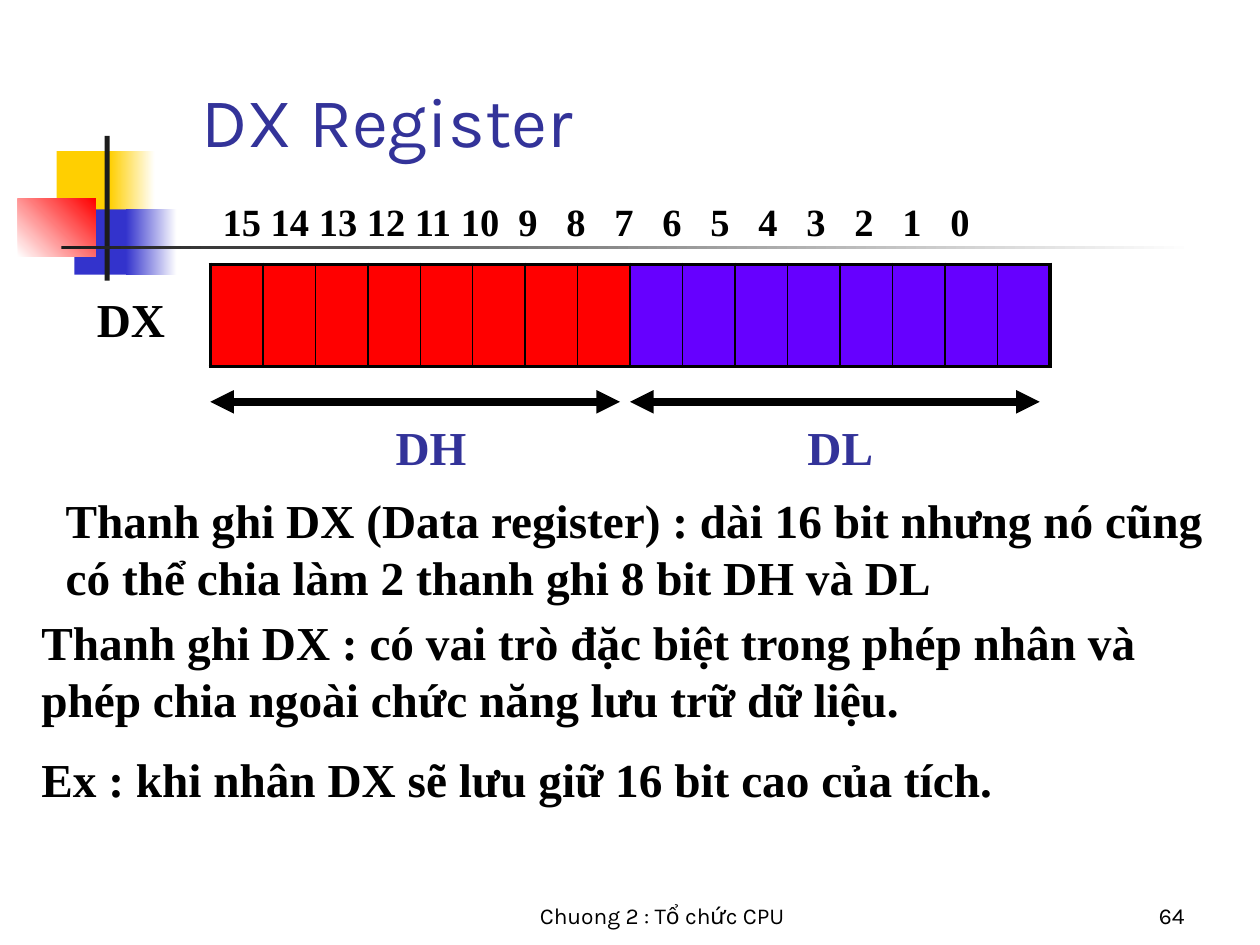
from copy import deepcopy
from dataclasses import dataclass

from lxml import etree
from pptx import Presentation
from pptx import util as u
from pptx.dml.color import RGBColor
from pptx.enum import shapes, text
from pptx.oxml import ns

LEFT, CENTER, RIGHT = text.PP_ALIGN.LEFT, text.PP_ALIGN.CENTER, text.PP_ALIGN.RIGHT
TOP, BOTTOM = text.MSO_ANCHOR.TOP, text.MSO_ANCHOR.BOTTOM


@dataclass(frozen=True)
class Theme:
    """Colours, fonts and type sizes of the slide."""
    black: str = "000000"
    white: str = "FFFFFF"
    ink: str = "1C1C1C"
    heading: str = "333399"
    yellow: str = "FFCF01"
    blue: str = "3333CC"
    red: str = "FF0000"
    violet: str = "6600FF"
    sans: str = "Karla"
    serif: str = "Times New Roman"
    title: int = 40
    body: int = 27
    bits: int = 22
    footer: int = 13


THEME = Theme()


def color(value):
    """Turn a hex string into a colour."""
    return RGBColor.from_string(value)


def place(shape, left, top, width, height):
    """Position a shape, in centimetres."""
    shape.left, shape.top = u.Cm(left), u.Cm(top)
    shape.width, shape.height = u.Cm(width), u.Cm(height)


def add_child(parent, tag, **attributes):
    """Append a drawing element to an XML parent."""
    return etree.SubElement(parent, ns.qn(tag), attributes)


def fill_text(box, lines, size, font=THEME.serif, ink=THEME.black, bold=True,
              align=LEFT, anchor=TOP):
    """Write formatted paragraphs into a box or placeholder."""
    frame = box.text_frame
    frame.text = "\n".join(lines)
    frame.word_wrap = True
    frame.auto_size = text.MSO_AUTO_SIZE.NONE
    frame.vertical_anchor = anchor
    for index, para in enumerate(frame.paragraphs):
        para.alignment = align
        para.space_before = u.Pt(size / 2 if index else 0)
        properties = para._p.get_or_add_pPr()
        properties.set("marL", "0")
        properties.set("indent", "0")
        add_child(properties, "a:buNone")
        for span in para.runs:
            span.font.name, span.font.size, span.font.bold = font, u.Pt(size), bold
            span.font.color.rgb = color(ink)


def add_label(page, words, area, size, **style):
    """Add a text box holding one paragraph."""
    box = page.shapes.add_textbox(*map(u.Cm, area))
    fill_text(box, [words], size, **style)
    return box


def add_bit_numbers(page, area):
    """Number the bits, spacing single digits out to the pitch of double ones."""
    box = add_label(page, " ".join(map(str, range(15, 9, -1))), area, THEME.bits)
    para = box.text_frame.paragraphs[0]
    para._p.append(deepcopy(para.runs[0]._r))
    digits = para.runs[1]
    digits.text = "".join(f" {bit}" for bit in range(9, -1, -1))
    digits._r.get_or_add_rPr().set("spc", str(THEME.bits * 25))


def add_block(page, area, start, end=None, angle=0):
    """Add a borderless rectangle with a plain or gradient fill."""
    block = page.shapes.add_shape(shapes.MSO_SHAPE.RECTANGLE, *map(u.Cm, area))
    block.shadow.inherit = False
    block.line.fill.background()
    if end is None:
        block.fill.solid()
        block.fill.fore_color.rgb = color(start)
        return
    block.fill.gradient()
    block.fill.gradient_angle = angle
    for stop, value in zip(block.fill.gradient_stops, (start, end)):
        stop.color.rgb = color(value)


def add_ornament(page):
    """Draw the coloured squares and crossing bars beside the title."""
    add_block(page, (1.14, 3.05, 1.22, 1.32), THEME.yellow)
    add_block(page, (2.21, 3.05, 0.91, 1.32), THEME.yellow, THEME.white)
    add_block(page, (1.5, 4.22, 1.17, 1.32), THEME.blue)
    add_block(page, (2.54, 4.22, 1.02, 1.32), THEME.blue, THEME.white)
    add_block(page, (0.36, 4.01, 1.57, 1.17), THEME.white, THEME.red, 45)
    add_block(page, (2.11, 2.74, 0.1, 2.92), THEME.ink)
    add_block(page, (1.24, 4.95, 22.83, 0.08), THEME.ink, THEME.white)


def set_border(cell, side, width):
    """Give one side of a table cell a black border."""
    border = add_child(cell._tc.get_or_add_tcPr(), f"a:ln{side}", w=str(u.Pt(width)))
    add_child(add_child(border, "a:solidFill"), "a:srgbClr", val=THEME.black)


def add_register(page, area, bits=16):
    """Add the register as a one-row table, high byte red and low byte violet."""
    table = page.shapes.add_table(1, bits, *map(u.Cm, area)).table
    table.first_row = table.horz_banding = False
    for index, cell in enumerate(table.iter_cells()):
        table.columns[index].width = u.Cm(area[2] / bits)
        set_border(cell, "L", 2.25 if index == 0 else 1)
        set_border(cell, "R", 2.25 if index == bits - 1 else 1)
        set_border(cell, "T", 2.25)
        set_border(cell, "B", 2.25)
        cell.fill.solid()
        cell.fill.fore_color.rgb = color(THEME.red if index < bits / 2 else THEME.violet)


def add_span_arrow(page, left, top, width):
    """Add a horizontal double-headed arrow."""
    arrow = page.shapes.add_connector(
        shapes.MSO_CONNECTOR.STRAIGHT, *map(u.Cm, (left, top, left + width, top)))
    arrow.line.width = u.Pt(4.5)
    arrow.line.color.rgb = color(THEME.black)
    line = arrow.line._get_or_add_ln()
    add_child(line, "a:headEnd", type="triangle")
    add_child(line, "a:tailEnd", type="triangle")
    add_child(arrow._element.spPr, "a:effectLst")


def main():
    """Build the slide on the DX register."""
    deck = Presentation()
    deck.slide_width, deck.slide_height = u.Cm(25.4), u.Cm(19.05)
    page = deck.slides.add_slide(deck.slide_layouts[3])
    title, intro, role = page.placeholders

    add_ornament(page)
    place(title, 3.81, 1.27, 12.5, 2.11)
    fill_text(title, ["DX Register"], THEME.title, font=THEME.sans,
              ink=THEME.heading, bold=False, anchor=BOTTOM)

    add_register(page, (4.24, 5.33, 16.94, 2.06))
    add_bit_numbers(page, (4.24, 3.86, 17.55, 1.27))
    add_label(page, "DX", (1.27, 5.72, 2.74, 1.52), THEME.body, align=CENTER)
    for name, arrow_left, label_left in (("DH", 4.24, 6.15), ("DL", 12.7, 14.4)):
        add_span_arrow(page, arrow_left, 8.1, 8.26)
        add_label(page, name, (label_left, 8.31, 5.08, 1.52), THEME.body,
                  ink=THEME.heading, align=CENTER)

    place(intro, 1.07, 9.78, 23.72, 2.51)
    fill_text(intro, ["Thanh ghi DX (Data register) : dài 16 bit nhưng nó cũng "
                      "có thể chia làm 2 thanh ghi 8 bit DH và DL"], THEME.body)
    place(role, 0.58, 12.24, 22.86, 4.24)
    fill_text(role, ["Thanh ghi DX : có vai trò đặc biệt trong phép nhân và "
                     "phép chia ngoài chức năng lưu trữ dữ liệu.",
                     "Ex : khi nhân DX sẽ lưu giữ 16 bit cao của tích."], THEME.body)

    footer = dict(font=THEME.sans, bold=False, anchor=BOTTOM)
    add_label(page, "Chuong 2 : Tổ chức CPU", (9.32, 17.58, 8.05, 1.27),
              THEME.footer, align=CENTER, **footer)
    add_label(page, "64", (18.85, 17.58, 5.28, 1.27), THEME.footer, align=RIGHT, **footer)
    deck.save("out.pptx")


if __name__ == "__main__":
    main()
